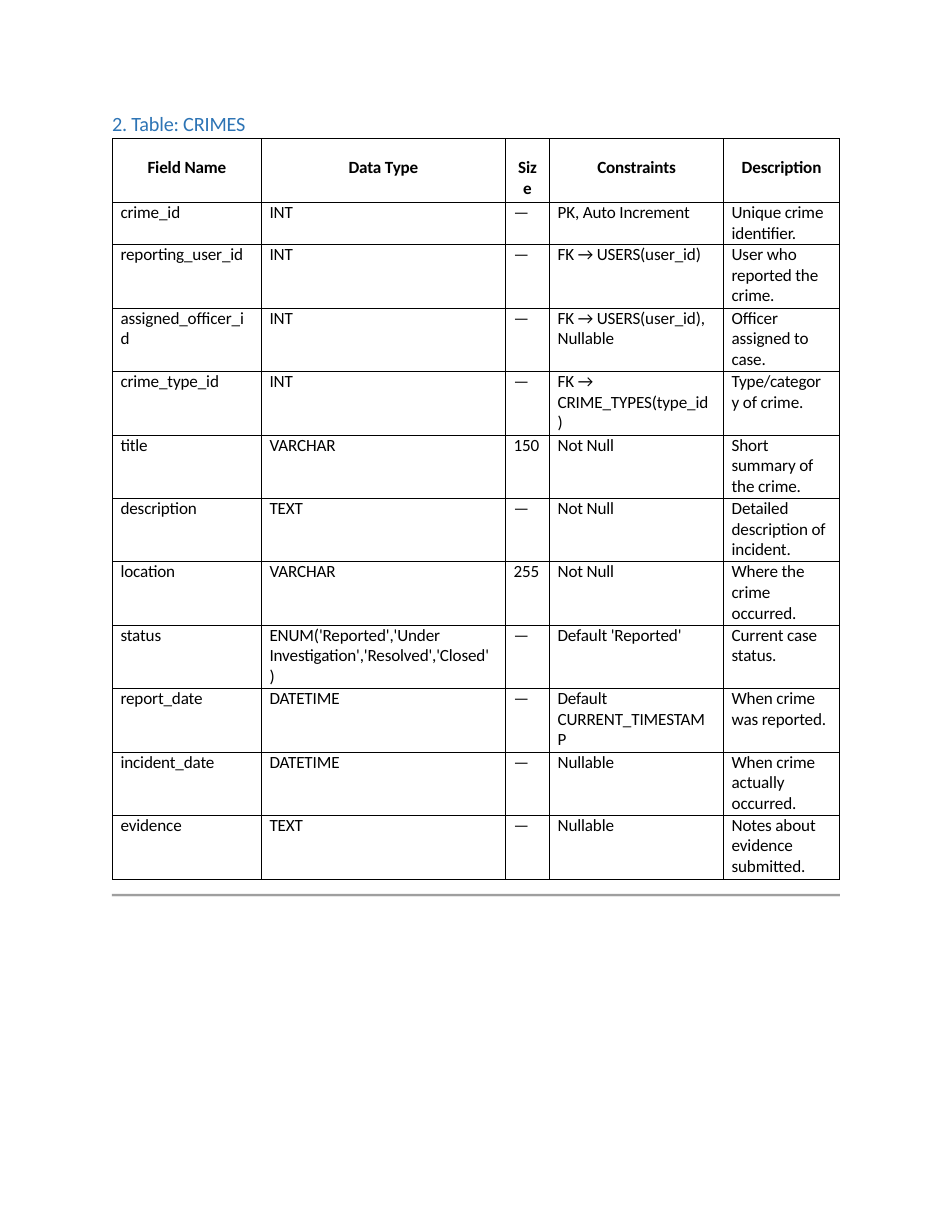
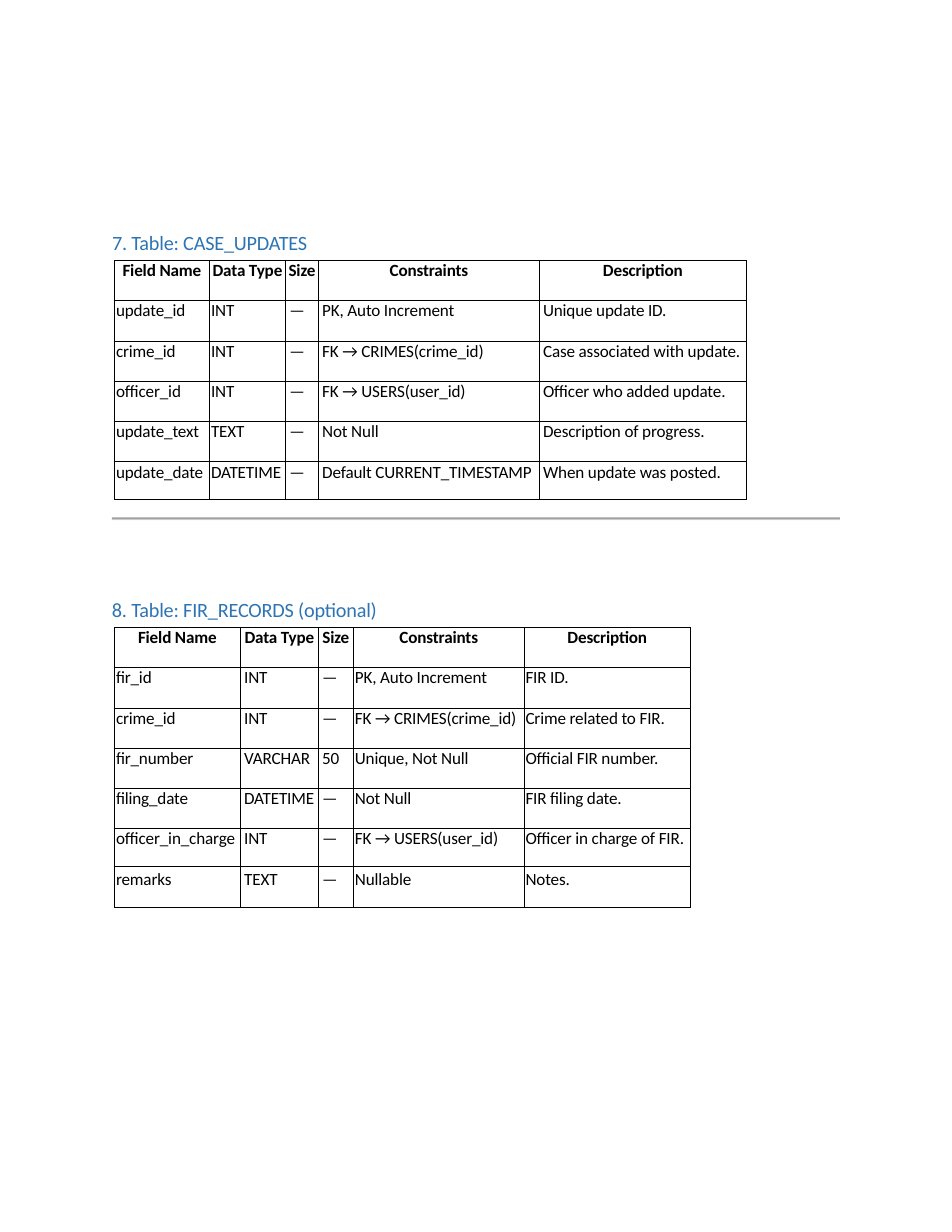
from pptx import Presentation
from pptx.dml.color import RGBColor
from pptx.enum.shapes import MSO_SHAPE
from pptx.enum.text import MSO_AUTO_SIZE, PP_ALIGN
from pptx.oxml import parse_xml
from pptx.oxml.ns import nsdecls
from pptx.util import Pt

THEME = {
    "heading": {"name": "Calibri", "size": Pt(13), "bold": False, "color": "2D74B5"},
    "header": {"name": "Calibri", "size": Pt(11), "bold": True, "color": "000000"},
    "body": {"name": "Calibri", "size": Pt(11), "bold": False, "color": "000000"},
    "border": "000000",
    "rule": "9F9F9F",
    "rule_edge": "E2E2E2",
}
LEFT, CONTENT_W = 72, 468
LINE = 13.2
HEADER = ["Field Name", "Data Type", "Size", "Constraints", "Description"]

crimes = {
    "heading": "2. Table: CRIMES", "heading_top": 70.6, "heading_w": 90,
    "left": 72.3, "top": 89, "cols": [95.8, 156.9, 28.3, 111.9, 74.6],
    "heights": [41.1, 27.1] + [40.8] * 10,
    "indents": [5.2] * 5, "right": 5, "header_top": 12.4, "last_top": 0,
    "rule_top": 574.6,
    "rows": [
        ["Field Name", "Data Type", "Siz\ne", "Constraints", "Description"],
        ["crime_id", "INT", "—", "PK, Auto Increment", "Unique crime identifier."],
        ["reporting_user_id", "INT", "—", "FK → USERS(user_id)",
         "User who reported the crime."],
        ["assigned_officer_i\nd", "INT", "—", "FK → USERS(user_id), Nullable",
         "Officer assigned to case."],
        ["crime_type_id", "INT", "—", "FK → CRIME_TYPES(type_id\n)",
         "Type/categor\ny of crime."],
        ["title", "VARCHAR", "150", "Not Null", "Short summary of the crime."],
        ["description", "TEXT", "—", "Not Null", "Detailed description of incident."],
        ["location", "VARCHAR", "255", "Not Null", "Where the crime occurred."],
        ["status", "ENUM('Reported','Under Investigation','Resolved','Closed'\n)", "—",
         "Default 'Reported'", "Current case status."],
        ["report_date", "DATETIME", "—", "Default CURRENT_TIMESTAM\nP",
         "When crime was reported."],
        ["incident_date", "DATETIME", "—", "Nullable", "When crime actually occurred."],
        ["evidence", "TEXT", "—", "Nullable", "Notes about evidence submitted."],
    ],
}
case_updates = {
    "heading": "7. Table: CASE_UPDATES", "heading_top": 146.9, "heading_w": 131,
    "left": 73.6, "top": 167.5, "cols": [61.1, 48.9, 21.2, 142, 133.1],
    "heights": [25.9] * 5 + [24.1],
    "indents": [1, 1, 2.4, 2.4, 2.4], "right": 0, "header_top": 0.2, "last_top": 0.2,
    "rule_top": 332.6,
    "rows": [
        HEADER,
        ["update_id", "INT", "—", "PK, Auto Increment", "Unique update ID."],
        ["crime_id", "INT", "—", "FK → CRIMES(crime_id)", "Case associated with update."],
        ["officer_id", "INT", "—", "FK → USERS(user_id)", "Officer who added update."],
        ["update_text", "TEXT", "—", "Not Null", "Description of progress."],
        ["update_date", "DATETIME", "—", "Default CURRENT_TIMESTAMP",
         "When update was posted."],
    ],
}
fir_records = {
    "heading": "8. Table: FIR_RECORDS (optional)", "heading_top": 383, "heading_w": 175,
    "left": 73.6, "top": 403.4, "cols": [81, 50.1, 22.5, 109.9, 106.8],
    "heights": [25.9] * 5 + [24.1, 26.2],
    "indents": [1, 2.4, 2.4, 1, 0.8], "right": 0, "header_top": 0.2, "last_top": 2.2,
    "rule_top": None,
    "rows": [
        HEADER,
        ["fir_id", "INT", "—", "PK, Auto Increment", "FIR ID."],
        ["crime_id", "INT", "—", "FK → CRIMES(crime_id)", "Crime related to FIR."],
        ["fir_number", "VARCHAR", "50", "Unique, Not Null", "Official FIR number."],
        ["filing_date", "DATETIME", "—", "Not Null", "FIR filing date."],
        ["officer_in_charge", "INT", "—", "FK → USERS(user_id)", "Officer in charge of FIR."],
        ["remarks", "TEXT", "—", "Nullable", "Notes."],
    ],
}


def write(p, text, style):
    """Put text in a paragraph; a newline becomes a line break."""
    p.text = text
    for r in p.runs:
        for key, value in THEME[style].items():
            if key == "color":
                r.font.color.rgb = RGBColor.from_string(value)
            else:
                setattr(r.font, key, value)
        r.font._element.set("spc", "-10")


def set_borders(cell):
    tcPr = cell._tc.get_or_add_tcPr()
    for side in "LRTB":
        tcPr.append(parse_xml(
            f'<a:ln{side} {nsdecls("a")} w="6350"><a:solidFill>'
            f'<a:srgbClr val="{THEME["border"]}"/></a:solidFill></a:ln{side}>'))


prs = Presentation()
prs.slide_width, prs.slide_height = Pt(612), Pt(792)

for sections in ([crimes], [case_updates, fir_records]):
    slide = prs.slides.add_slide(prs.slide_layouts[6])
    for sec in sections:
        box = slide.shapes.add_textbox(Pt(71.3), Pt(sec["heading_top"]),
                                       Pt(sec["heading_w"]), Pt(17.3))
        tf = box.text_frame
        for key, value in {"word_wrap": True, "auto_size": MSO_AUTO_SIZE.SHAPE_TO_FIT_TEXT,
                           "margin_left": Pt(0.7), "margin_top": Pt(1),
                           "margin_right": 0, "margin_bottom": 0}.items():
            setattr(tf, key, value)
        tf.paragraphs[0].space_before = Pt(0.9)
        write(tf.paragraphs[0], sec["heading"], "heading")

        rows, cols, heights = sec["rows"], sec["cols"], sec["heights"]
        table = slide.shapes.add_table(len(rows), len(cols), Pt(sec["left"]), Pt(sec["top"]),
                                       Pt(sum(cols)), Pt(sum(heights))).table
        table.first_row = table.horz_banding = False
        for col, width in zip(table.columns, cols):
            col.width = Pt(width)
        for i, (row, height) in enumerate(zip(table.rows, heights)):
            row.height = Pt(height)
            is_header, is_last = i == 0, i == len(rows) - 1
            top = sec["header_top"] if is_header else sec["last_top"] if is_last else 0.2
            for j, cell in enumerate(row.cells):
                cell.margin_left = Pt(0 if is_header else sec["indents"][j])
                cell.margin_right = Pt(0 if is_header else sec["right"])
                cell.margin_top, cell.margin_bottom = Pt(top), 0
                set_borders(cell)
                cell.fill.background()
                p = cell.text_frame.paragraphs[0]
                p.line_spacing = Pt(LINE)
                p.alignment = PP_ALIGN.CENTER if is_header else PP_ALIGN.LEFT
                write(p, rows[i][j], "header" if is_header else "body")

        if sec["rule_top"]:
            for offset, thickness, color in ((0, 1.5, "rule"), (1.5, 0.3, "rule_edge")):
                sp = slide.shapes.add_shape(MSO_SHAPE.RECTANGLE, Pt(LEFT),
                                            Pt(sec["rule_top"] + offset),
                                            Pt(CONTENT_W), Pt(thickness))
                sp.shadow.inherit = False
                sp.fill.solid()
                sp.fill.fore_color.rgb = RGBColor.from_string(THEME[color])
                sp.line.fill.background()

prs.save("out.pptx")
